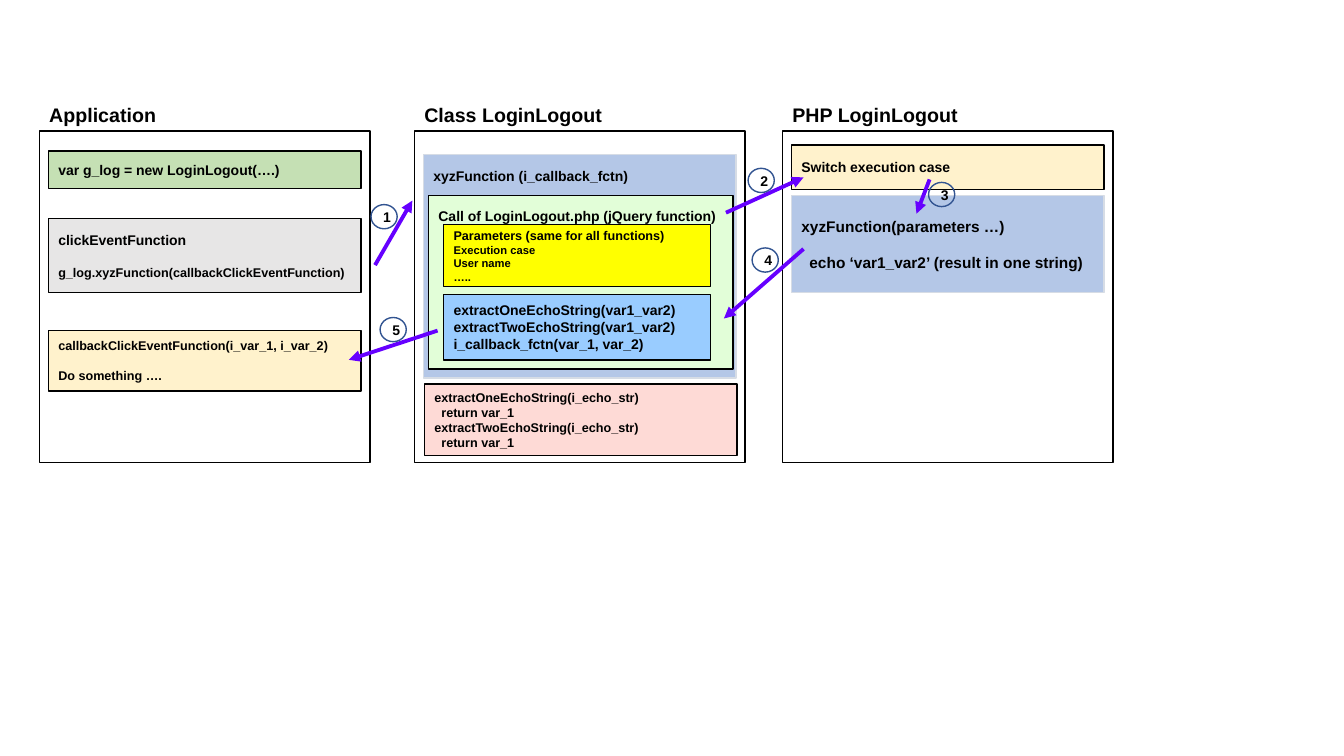
from pptx import Presentation
from pptx.dml.color import RGBColor
from pptx.enum.shapes import MSO_CONNECTOR, MSO_SHAPE
from pptx.enum.text import MSO_ANCHOR, PP_ALIGN
from pptx.oxml.ns import qn
from pptx.util import Inches, Pt
from lxml.etree import SubElement

BLACK, VIOLET, NAVY = "000000", "6600FF", "325491"
CREAM, BLUE, PALE_BLUE = "FFF2CC", "B4C7E7", "D6DCE5"


def color(value):
    return RGBColor.from_string(value)


class Diagram:
    font = "Arial"

    def __init__(self, slide):
        self.slide = slide

    def add_lines(self, frame, lines, align=PP_ALIGN.LEFT):
        """Each line is (text, size, space before in points, indent in inches)."""
        for index, (text, size, *layout) in enumerate(lines):
            before, indent = (layout + [0, 0])[:2]
            paragraph = frame.paragraphs[0] if index == 0 else frame.add_paragraph()
            paragraph.text = text
            paragraph.alignment = align
            paragraph.space_before = Pt(before)
            paragraph.font.name = self.font
            paragraph.font.size = Pt(size)
            paragraph.font.bold = True
            paragraph.font.color.rgb = color(BLACK)
            if indent:
                paragraph._p.get_or_add_pPr().set("marL", str(Inches(indent)))

    def outline(self, kind, left, top, width, height, fill=None, line=BLACK):
        shape = self.slide.shapes.add_shape(
            kind, Inches(left), Inches(top), Inches(width), Inches(height))
        shape.shadow.inherit = False
        if fill:
            shape.fill.solid()
            shape.fill.fore_color.rgb = color(fill)
        else:
            shape.fill.background()
        shape.line.color.rgb = color(line)
        shape.line.width = Pt(1)
        return shape

    def box(self, left, top, width, height, fill, lines, line=BLACK, inset=None):
        """Text is centred vertically, or starts at the given top inset."""
        shape = self.outline(MSO_SHAPE.RECTANGLE, left, top, width, height, fill, line)
        frame = shape.text_frame
        frame.word_wrap = True
        frame.vertical_anchor = MSO_ANCHOR.MIDDLE
        if inset is not None:
            frame.vertical_anchor = MSO_ANCHOR.TOP
            frame.margin_top = Inches(inset)
        self.add_lines(frame, lines)

    def column(self, left, title):
        self.outline(MSO_SHAPE.RECTANGLE, left, 1.3, 3.28, 3.29)
        heading = self.slide.shapes.add_textbox(
            Inches(left), Inches(0.97), Inches(3.16), Inches(0.34))
        heading.text_frame.word_wrap = True
        self.add_lines(heading.text_frame, [(title, 14)])

    def arrow(self, start, end):
        connector = self.slide.shapes.add_connector(
            MSO_CONNECTOR.STRAIGHT, *map(Inches, start + end))
        connector.line.color.rgb = color(VIOLET)
        connector.line.width = Pt(2.75)
        properties = connector._element.spPr
        SubElement(properties.find(qn("a:ln")), qn("a:tailEnd"), type="triangle")
        SubElement(properties, qn("a:effectLst"))

    def step(self, number, left, top):
        circle = self.outline(MSO_SHAPE.OVAL, left, top, 0.26, 0.24, line=NAVY)
        frame = circle.text_frame
        frame.word_wrap = False
        frame.vertical_anchor = MSO_ANCHOR.MIDDLE
        frame.margin_left = Inches(0.06)
        frame.margin_right = frame.margin_top = frame.margin_bottom = 0
        self.add_lines(frame, [(str(number), 10)], PP_ALIGN.CENTER)


presentation = Presentation()
presentation.slide_width = Inches(13.33)
presentation.slide_height = Inches(7.5)
diagram = Diagram(presentation.slides.add_slide(presentation.slide_layouts[6]))

# Columns
for left, title in [(0.39, "Application"), (4.11, "Class LoginLogout"),
                    (7.76, "PHP LoginLogout")]:
    diagram.column(left, title)

# Application
diagram.box(0.48, 1.5, 3.1, 0.37, "C5E0B4", [("var g_log = new LoginLogout(….)", 10)])
diagram.box(0.48, 2.17, 3.1, 0.73, "E7E6E6", [
    ("clickEventFunction", 10),
    ("g_log.xyzFunction(callbackClickEventFunction)", 9, 11.5)])
diagram.box(0.48, 3.28, 3.1, 0.6, CREAM, [
    ("callbackClickEventFunction(i_var_1, i_var_2)", 9),
    ("Do something ….", 9, 10.5)])

# Class: the function, its server call and the nested blocks
diagram.box(4.2, 1.53, 3.1, 2.22, BLUE, [("xyzFunction (i_callback_fctn)", 10)],
            line=PALE_BLUE, inset=0.13)
diagram.box(4.25, 1.94, 3.02, 1.72, "E2FED8",
            [("Call of LoginLogout.php (jQuery function)", 10)], inset=0.12)
diagram.box(4.4, 2.23, 2.65, 0.61, "FFFF00", [
    ("Parameters (same for all functions)", 9),
    ("Execution case", 8), ("User name", 8), ("…..", 8)])
diagram.box(4.4, 2.92, 2.65, 0.65, "99CCFF", [
    ("extractOneEchoString(var1_var2)", 10),
    ("extractTwoEchoString(var1_var2)", 10),
    ("i_callback_fctn(var_1, var_2)", 10)])
diagram.box(4.21, 3.81, 3.1, 0.71, "FEDAD6", [
    ("extractOneEchoString(i_echo_str)", 9), ("return var_1", 9, 0, 0.07),
    ("extractTwoEchoString(i_echo_str)", 9), ("return var_1", 9, 0, 0.07)])

# PHP
diagram.box(7.85, 1.44, 3.1, 0.44, CREAM, [("Switch execution case", 10)])
diagram.box(7.85, 1.94, 3.1, 0.96, BLUE, [
    ("xyzFunction(parameters …)", 11),
    ("echo ‘var1_var2’ (result in one string)", 11, 12.5, 0.08)], line=PALE_BLUE)

# Call sequence: arrow start, arrow end, number position
calls = [
    ((3.72, 2.63), (4.09, 1.99), (3.68, 2.03)),
    ((7.2, 2.11), (7.97, 1.76), (7.42, 1.67)),
    ((9.22, 1.78), (9.09, 2.12), (9.21, 1.81)),
    ((7.97, 2.47), (7.18, 3.16), (7.46, 2.46)),
    ((4.34, 3.28), (3.46, 3.57), (3.77, 3.15)),
]
for number, (start, end, place) in enumerate(calls, 1):
    diagram.arrow(start, end)
    diagram.step(number, *place)

presentation.save("out.pptx")
